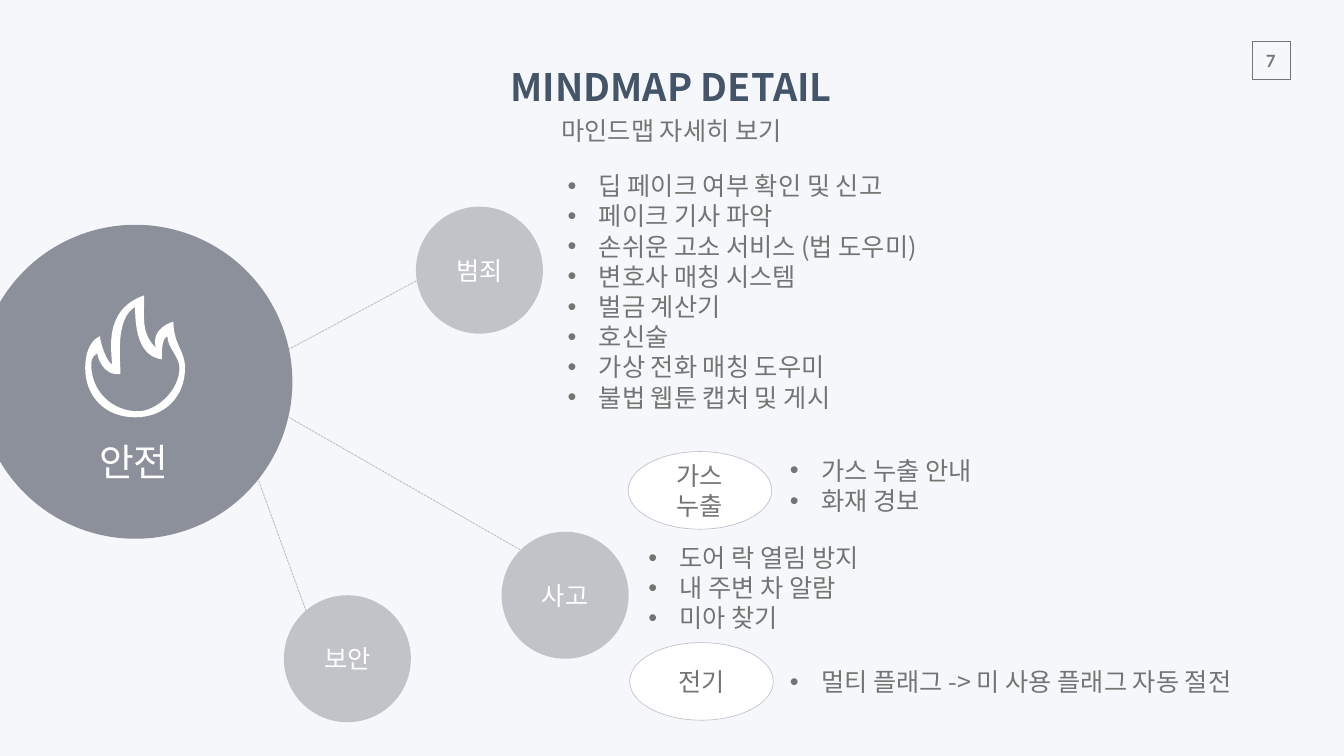
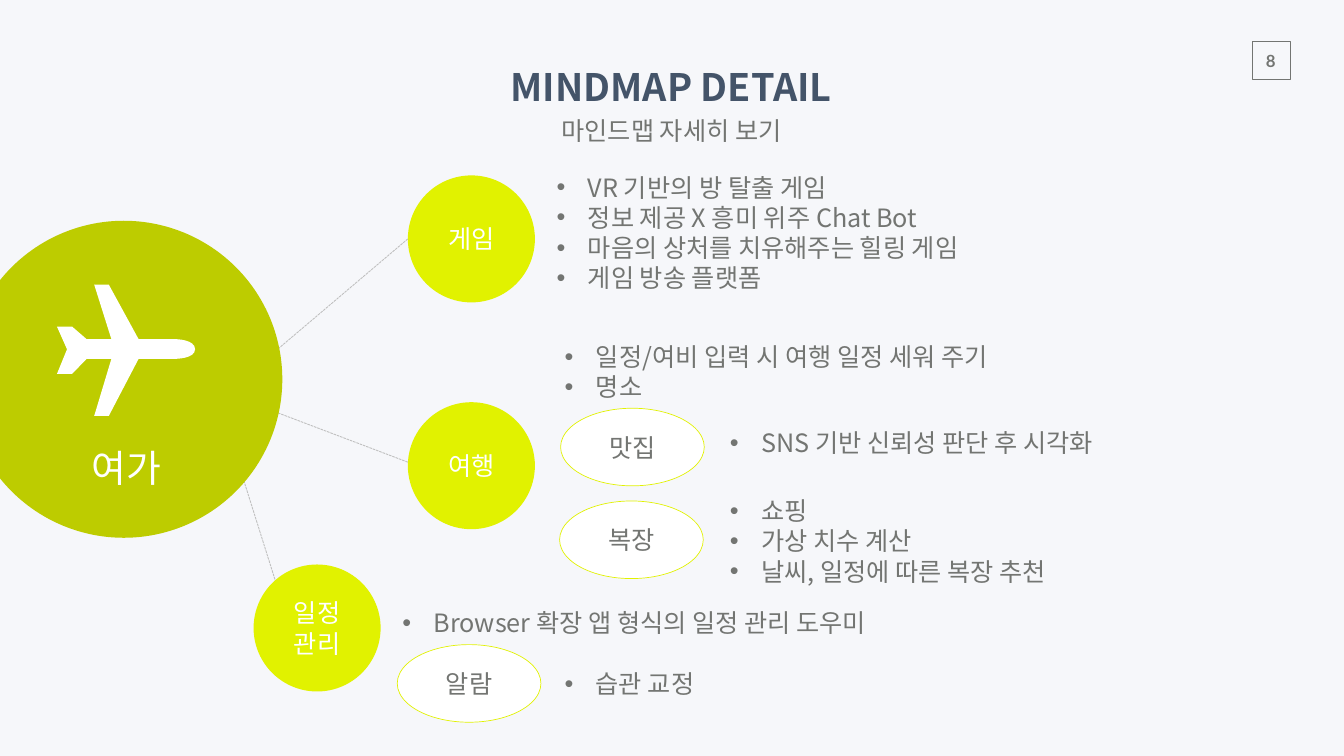
from lxml.etree import SubElement
from pptx import Presentation
from pptx.dml.color import RGBColor
from pptx.enum.dml import MSO_LINE_DASH_STYLE as Dash
from pptx.enum.shapes import MSO_CONNECTOR as Connector, MSO_SHAPE as Shape
from pptx.enum.text import MSO_ANCHOR as Anchor, MSO_AUTO_SIZE as AutoSize, PP_ALIGN as Align
from pptx.oxml.ns import qn
from pptx.util import Cm, Pt

BACKGROUND = RGBColor(0xF6, 0xF7, 0xFA)
WHITE = RGBColor(0xFF, 0xFF, 0xFF)
TEXT = RGBColor(0x73, 0x75, 0x72)
TITLE = RGBColor(0x44, 0x54, 0x69)
LINK = RGBColor(0xBF, 0xBF, 0xBF)
SLATE = RGBColor(0x8C, 0x90, 0x9B)
SILVER = RGBColor(0xC1, 0xC3, 0xC9)
OLIVE = RGBColor(0xBD, 0xCC, 0x00)
LIME = RGBColor(0xE1, 0xF2, 0x00)

FONT = "Noto Sans CJK KR"
NUMBER_FONT = "Lato"
HEADING = "MINDMAP DETAIL"
SUBHEADING = "마인드맵 자세히 보기"

CM_PER_INCH = 2.54
BRANCH_SIZE = 2.52
OVAL_SIZE = (2.85, 1.54)
LIST_WIDTH = 10.23
LINE_HEIGHT = 0.6
BULLET_INDENT = 0.62
WIDE_INSETS = (0.27, 0.13)

FLAME = [
    [(3.44, 6.38), (3.09, 6.5, 3.04, 6.72, 3.09, 6.9), (2.8, 6.61, 2.86, 6.32, 2.86, 5.86),
     (2.04, 6.15, 2.22, 6.95, 2.22, 7.24), (2.04, 7.07, 1.98, 6.67, 1.98, 6.67),
     (1.75, 6.78, 1.69, 7.07, 1.69, 7.3), (1.69, 7.88, 2.1, 8.28, 2.68, 8.28),
     (3.26, 8.28, 3.67, 7.88, 3.67, 7.3), (3.67, 6.95, 3.44, 6.84, 3.44, 6.38)],
    [(2.74, 8.16), (2.22, 8.16, 1.81, 7.76, 1.81, 7.24), (1.81, 7.19, 1.81, 7.07, 1.93, 7.01),
     (1.93, 7.07, 2.04, 7.47, 2.39, 7.42), (2.39, 7.13, 2.28, 6.32, 2.68, 6.09),
     (2.68, 6.5, 2.74, 7.07, 3.21, 7.13), (3.21, 6.95, 3.21, 6.72, 3.32, 6.67),
     (3.32, 6.9, 3.56, 7.07, 3.56, 7.3), (3.56, 7.76, 3.09, 8.16, 2.74, 8.16)],
]
PLANE = [
    [(1.87, 8.25), (2.16, 8.25), (2.75, 7.12), (3.48, 7.12),
     (3.48, 7.12, 3.87, 7.12, 3.87, 6.93), (3.87, 6.73, 3.48, 6.73, 3.48, 6.73),
     (2.75, 6.73), (2.16, 5.65), (1.87, 5.65), (2.21, 6.73), (1.72, 6.73), (1.43, 6.48),
     (1.13, 6.48), (1.33, 6.93), (1.13, 7.42), (1.43, 7.42), (1.72, 7.12), (2.21, 7.12)],
]

MINDMAPS = [
    {
        "number": "7", "hub_color": SLATE, "branch_color": SILVER, "icon": FLAME,
        "hub": ("안전", -0.43, 4.46, 6.23), "hub_label": (0.88, 8.56),
        "branches": [
            ("사고", (9.95, 10.55), (10.32, 10.91), (5.73, 8.28)),
            ("보안", (5.63, 11.81), (6.31, 12.78), (5, 9.18)),
            ("범죄", (8.25, 4.1), (8.32, 5.54), (5.47, 7.07)),
        ],
        "ovals": [("가스 누출", 12.46, 8.96), ("전기", 12.49, 12.75)],
        "lists": [
            (11.16, 3.33, ["딥 페이크 여부 확인 및 신고", "페이크 기사 파악",
                           "손쉬운 고소 서비스 (법 도우미)", "변호사 매칭 시스템", "벌금 계산기",
                           "호신술", "가상 전화 매칭 도우미", "불법 웹툰 캡처 및 게시"]),
            (12.76, 10.71, ["도어 락 열림 방지", "내 주변 차 알람", "미아 찾기"]),
            (15.57, 8.98, ["가스 누출 안내", "화재 경보"]),
            (15.57, 13.17, ["멀티 플래그 -> 미 사용 플래그 자동 절전"]),
        ],
    },
    {
        "number": "8", "hub_color": OLIVE, "branch_color": LIME, "icon": PLANE,
        "hub": ("여가", -0.69, 4.38, 6.29), "hub_label": (0.73, 8.69),
        "branches": [
            ("여행", (8.09, 7.98), (8.09, 9.17), (4.98, 7.99)),
            ("게임", (8.09, 3.48), (8.09, 4.74), (5.53, 6.91)),
            ("일정 관리", (5.03, 11.2), (5.6, 11.96), (4.69, 9.07)),
        ],
        "ovals": [("맛집", 11.12, 8.1), ("복장", 11.1, 9.94), ("알람", 7.88, 12.79)],
        "lists": [
            (10.94, 3.36, ["VR 기반의 방 탈출 게임", "정보 제공 X 흥미 위주 Chat Bot",
                           "마음의 상처를 치유해주는 힐링 게임", "게임 방송 플랫폼"]),
            (11.1, 6.72, ["일정/여비 입력 시 여행 일정 세워 주기", "명소"]),
            (7.88, 12, ["Browser 확장 앱 형식의 일정 관리 도우미"]),
            (14.38, 8.43, ["SNS 기반 신뢰성 판단 후 시각화"]),
            (14.38, 9.78, ["쇼핑", "가상 치수 계산", "날씨, 일정에 따른 복장 추천"]),
            (11.1, 13.21, ["습관 교정"]),
        ],
    },
]


def length(inches):
    return Cm(inches * CM_PER_INCH)


def place(shape, left, top, width, height):
    shape.left, shape.top = length(left), length(top)
    shape.width, shape.height = length(width), length(height)


def add_bullet(paragraph):
    properties = paragraph._p.get_or_add_pPr()
    properties.set("marL", str(length(BULLET_INDENT)))
    properties.set("indent", str(-length(BULLET_INDENT)))
    SubElement(properties, qn("a:buFont"), typeface="Arial")
    SubElement(properties, qn("a:buChar"), char="•")


def write(shape, *lines, size=36, color=TEXT, font=FONT, bold=False, align=Align.CENTER,
          anchor=Anchor.MIDDLE, insets=(0.1, 0.05), wrap=True, grow=False, bullets=False):
    frame = shape.text_frame
    frame.word_wrap = wrap
    frame.auto_size = AutoSize.SHAPE_TO_FIT_TEXT if grow else AutoSize.NONE
    frame.vertical_anchor = anchor
    frame.margin_left = frame.margin_right = length(insets[0])
    frame.margin_top = frame.margin_bottom = length(insets[1])
    for index, line in enumerate(lines):
        paragraph = frame.add_paragraph() if index else frame.paragraphs[0]
        paragraph.alignment = align
        paragraph.line_spacing = 1.0
        paragraph.space_before = paragraph.space_after = Pt(0)
        if bullets:
            add_bullet(paragraph)
        run = paragraph.add_run()
        run.text = line
        run.font.size, run.font.bold, run.font.name = Pt(size), bold, font
        run.font.color.rgb = color
        properties = run._r.get_or_add_rPr()
        properties.set("kern", "0")
        SubElement(properties, qn("a:ea"), typeface=font)


def add_textbox(slide, *box):
    return slide.shapes.add_textbox(*map(length, box))


def paint(shape, fill=None, line=None):
    shape.shadow.inherit = False
    if fill is None:
        shape.fill.background()
    else:
        shape.fill.solid()
        shape.fill.fore_color.rgb = fill
    if line is None:
        shape.line.fill.background()
    else:
        shape.line.color.rgb = line
        shape.line.width = Pt(1)


def add_figure(slide, kind, left, top, width, height, **colors):
    shape = slide.shapes.add_shape(kind, *map(length, (left, top, width, height)))
    paint(shape, **colors)
    return shape


def add_link(slide, start, end):
    connector = slide.shapes.add_connector(Connector.STRAIGHT, *map(length, start + end))
    connector.line.color.rgb = LINK
    connector.line.width = Pt(1.25)
    connector.line.dash_style = Dash.SQUARE_DOT
    SubElement(connector._element.spPr, qn("a:effectLst"))


def split_points(step):
    return [tuple(map(length, step[index:index + 2])) for index in range(0, len(step), 2)]


def bend_segments(shape, contours):
    segments = iter(list(shape._element.iter(qn("a:lnTo"))))
    for contour in contours:
        for step in contour[1:]:
            group = [next(segments) for _ in split_points(step)]
            if len(group) == 1:
                continue
            curve = group[0].makeelement(qn("a:cubicBezTo"))
            group[0].addprevious(curve)
            for segment in group:
                curve.append(segment[0])
                segment.getparent().remove(segment)


def add_icon(slide, contours):
    builder = slide.shapes.build_freeform(*map(length, contours[0][0]))
    for index, (start, *steps) in enumerate(contours):
        if index:
            builder.move_to(*map(length, start))
        points = [point for step in steps for point in split_points(step)]
        builder.add_line_segments(points, close=False)
        builder.add_line_segments([], close=True)
    icon = builder.convert_to_shape()
    bend_segments(icon, contours)
    paint(icon, fill=WHITE)


def add_header(slide, number):
    add_figure(slide, Shape.RECTANGLE, 24.84, 0.82, 0.75, 0.75, line=TEXT)
    write(add_textbox(slide, 24.8, 0.9, 0.81, 0.61), number, size=24, font=NUMBER_FONT,
          bold=True, anchor=Anchor.TOP, insets=(0.2, 0.1), wrap=False, grow=True)
    place(slide.shapes.title, 9.86, 1.12, 6.91, 1.18)
    write(slide.shapes.title, HEADING, size=54, color=TITLE, bold=True,
          insets=WIDE_INSETS, wrap=False, grow=True)
    write(add_textbox(slide, 10.77, 2.15, 5.1, 0.88), SUBHEADING,
          insets=WIDE_INSETS, wrap=False, grow=True)


def add_lists(slide, lists):
    bodies = [shape for shape in slide.placeholders if shape.placeholder_format.idx > 0]
    for index, (left, top, lines) in enumerate(lists):
        box = (left, top, LIST_WIDTH, 0.1 + LINE_HEIGHT * len(lines))
        if index < len(bodies):
            shape = bodies[index]
            place(shape, *box)
        else:
            shape = add_textbox(slide, *box)
        write(shape, *lines, align=Align.LEFT, anchor=Anchor.TOP, grow=True, bullets=True)


def add_hub(slide, mindmap):
    label, left, top, size = mindmap["hub"]
    add_figure(slide, Shape.OVAL, left, top, size, size, fill=mindmap["hub_color"])
    write(add_textbox(slide, *mindmap["hub_label"], 3.55, 1.18), label, size=54, color=WHITE,
          insets=WIDE_INSETS, grow=True)
    add_icon(slide, mindmap["icon"])


def add_mindmap(presentation, mindmap):
    slide = presentation.slides.add_slide(presentation.slide_layouts.get_by_name("Comparison"))
    add_header(slide, mindmap["number"])
    add_lists(slide, mindmap["lists"])
    for label, corner, start, end in mindmap["branches"]:
        add_link(slide, start, end)
        circle = add_figure(slide, Shape.OVAL, *corner, BRANCH_SIZE, BRANCH_SIZE,
                            fill=mindmap["branch_color"])
        write(circle, label, color=WHITE)
    for label, left, top in mindmap["ovals"]:
        oval = add_figure(slide, Shape.OVAL, left, top, *OVAL_SIZE,
                          fill=WHITE, line=mindmap["branch_color"])
        write(oval, label)
    add_hub(slide, mindmap)


def main():
    presentation = Presentation()
    presentation.slide_width, presentation.slide_height = length(26.66), length(15)
    background = presentation.slide_master.background.fill
    background.solid()
    background.fore_color.rgb = BACKGROUND
    for mindmap in MINDMAPS:
        add_mindmap(presentation, mindmap)
    presentation.save("out.pptx")


if __name__ == "__main__":
    main()
